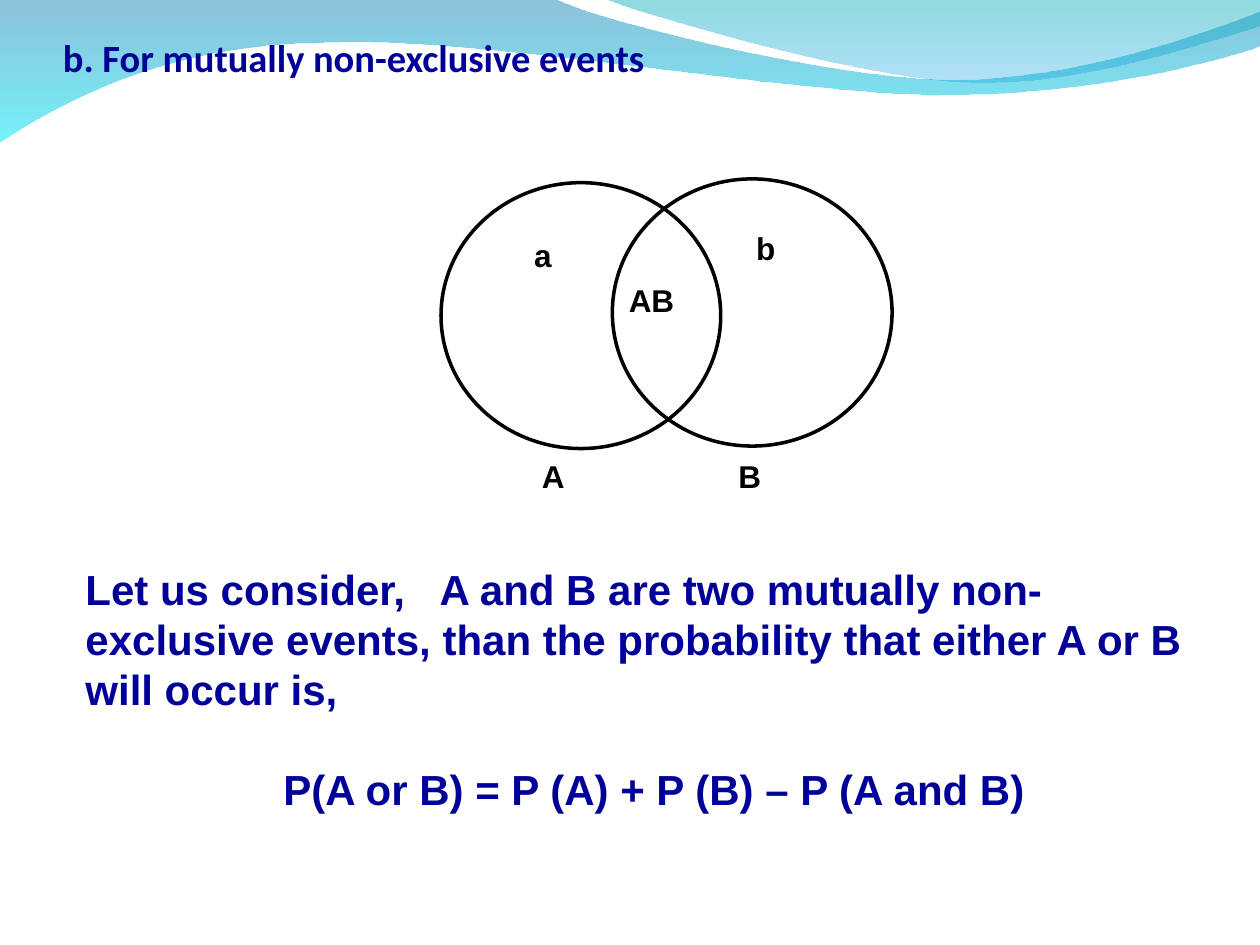
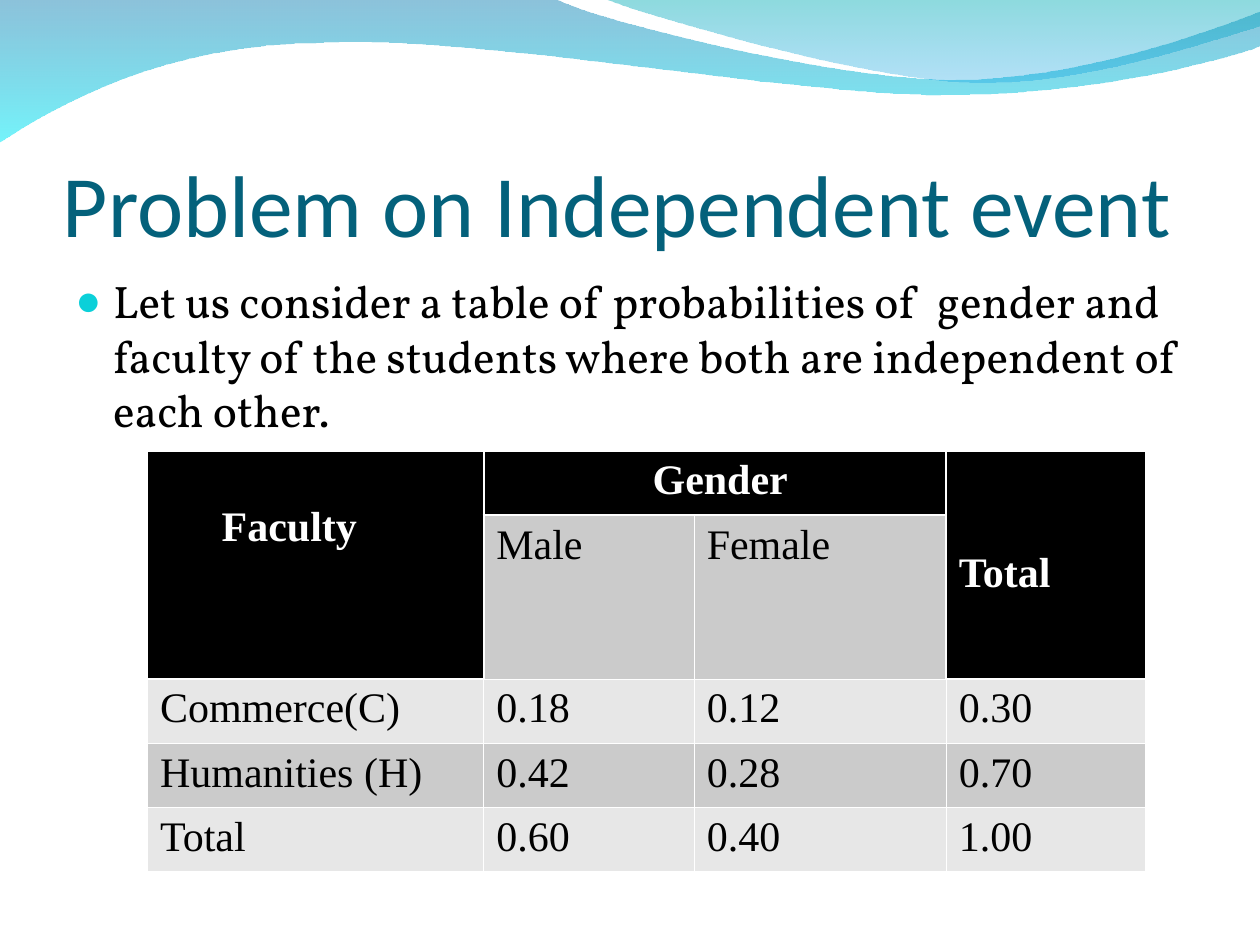
from dataclasses import dataclass

from lxml.etree import SubElement
from pptx import Presentation
from pptx.dml.color import RGBColor
from pptx.enum.shapes import MSO_SHAPE as Shape
from pptx.enum.text import MSO_ANCHOR as Anchor
from pptx.oxml.ns import qn
from pptx.util import Inches, Pt

COLS, ROWS = 10, 7.5
W, H = Inches(10), Inches(7.5)


@dataclass(frozen=True)
class Theme:
    navy: str = "000099"
    teal: str = "04617B"
    bullet: str = "0BD0D9"
    ink: str = "000000"
    paper: str = "FFFFFF"
    bands: tuple = ("E7E7E7", "CBCBCB")
    sans: str = "Arial"
    head: str = "Calibri"
    body: str = "Vollkorn"
    cell: str = "Times New Roman"
    small_title: float = 22
    big_title: float = 50
    label: float = 18
    text: float = 24
    lead: float = 26
    outline: float = 2
    thin: float = 0.45
    thick: float = 1.47


@dataclass(frozen=True)
class Box:
    x: float
    y: float
    w: float
    h: float

    def inner(self, dx, dy, w, h):
        return Box(self.x + dx, self.y + dy, w, h)

    def emu(self):
        return col(self.x), row(self.y), col(self.w), row(self.h)


T = Theme()
SLIDE = Box(0, 0, COLS, ROWS)

WAVES = [
    ((0, -0.01),
     [[(4.4, -0.01)],
      [(4.76, 0.17), (6.64, 0.63), (7.58, 0.63)],
      [(8.53, 0.63), (9.58, 0.26), (10, 0.09)],
      [(10.01, 0.36)],
      [(9.83, 0.44), (8.7, 0.76), (7.46, 0.75)],
      [(6.22, 0.75), (3.82, 0.28), (2.57, 0.34)],
      [(1.29, 0.35), (0.46, 0.83), (-0.01, 1.13)]],
     [("0079AF", 45), ("00EBF8", 55)]),
    ((4.79, -0.01),
     [[(5.09, 0.11), (6.82, 0.62), (7.69, 0.65)],
      [(8.56, 0.69), (9.61, 0.32), (10, 0.21)],
      [(10, 0)]],
     [("00ADB6", 45), ("009BE5", 30)]),
]

VENN_CIRCLES = [(0, 0.03, 2.11), (1.36, 0, 2.12)]
VENN_LABELS = [("a", 0.74, 0.45, 0.4), ("AB", 1.49, 0.81, 0.71),
               ("b", 2.5, 0.4, 0.41), ("A", 0.8, 2.21, 0.71),
               ("B", 2.36, 2.21, 0.71)]

HEAD_CELLS = {(0, 0), (1, 0), (0, 1), (0, 2), (0, 3), (1, 3)}
HEAD_MARGINS = {(0, 0): (0.59, 0.42), (0, 1): (1.34, 0.05), (0, 3): (0.1, 0.79)}
COL_WIDTHS = [2.67, 1.67, 2, 1.58]
ROW_HEIGHTS = [0.51, 1.3, 0.51, 0.51, 0.51]
FACULTY_ROWS = [
    ["Faculty", "Gender", "", "Total"],
    ["", "Male", "Female", ""],
    ["Commerce(C)", "0.18", "0.12", "0.30"],
    ["Humanities (H)", "0.42", "0.28", "0.70"],
    ["Total", "0.60", "0.40", "1.00"],
]


def col(n):
    return round(W * n / COLS)


def row(n):
    return round(H * n / ROWS)


def rgb(color):
    return RGBColor.from_string(color)


def write(p, text, size=T.text, font=T.sans, color=T.ink, bold=False):
    r = p.add_run()
    r.text = text
    f = r.font
    f.size, f.name, f.bold = Pt(size), font, bold
    f.color.rgb = rgb(color)


def text_box(s, box, text, inset=(0, 0), anchor=Anchor.TOP, **fmt):
    tf = s.shapes.add_textbox(*box.emu()).text_frame
    tf.word_wrap = True
    tf.vertical_anchor = anchor
    tf.margin_left = tf.margin_right = col(inset[0])
    tf.margin_top = tf.margin_bottom = row(inset[1])
    write(tf.paragraphs[0], text, **fmt)
    return tf


def bend(sp, segments):
    lines = iter(list(sp._element.spPr.iter(qn("a:lnTo"))))
    for seg in segments:
        parts = [next(lines) for _ in seg]
        if len(parts) == 3:
            curve = parts[0].makeelement(qn("a:cubicBezTo"))
            parts[0].addprevious(curve)
            for part in parts:
                curve.append(part[0])
                part.getparent().remove(part)


def wave(s, box, start, segments, stops):
    points = [start] + [pt for seg in segments for pt in seg]
    outline = [(col(box.x + x), row(box.y + y)) for x, y in points]
    builder = s.shapes.build_freeform(*outline[0])
    builder.add_line_segments(outline[1:], close=True)
    sp = builder.convert_to_shape()
    bend(sp, segments)
    sp.shadow.inherit = False
    sp.line.fill.background()
    sp.fill.gradient()
    sp.fill.gradient_angle = 270
    for i, (stop, (color, _)) in enumerate(zip(sp.fill.gradient_stops, stops)):
        stop.position = i
        stop.color.rgb = rgb(color)
    for clr, (_, alpha) in zip(sp._element.spPr.iter(qn("a:srgbClr")), stops):
        SubElement(clr, qn("a:alpha"), val=str(alpha * 1000))


def new_slide(prs):
    s = prs.slides.add_slide(prs.slide_layouts[6])
    for start, segments, stops in WAVES:
        wave(s, SLIDE, start, segments, stops)
    return s


def title(s, box, text, **fmt):
    text_box(s, box, text, anchor=Anchor.BOTTOM, font=T.head, **fmt)


def venn(s, box):
    for dx, dy, h in VENN_CIRCLES:
        sp = s.shapes.add_shape(Shape.OVAL, *box.inner(dx, dy, 2.22, h).emu())
        sp.shadow.inherit = False
        sp.fill.background()
        sp.line.color.rgb = rgb(T.ink)
        sp.line.width = Pt(T.outline)
    for text, dx, dy, w in VENN_LABELS:
        text_box(s, box.inner(dx, dy, w, 0.3), text, size=T.label, bold=True)


def addition_rule(s, box):
    fmt = dict(color=T.navy, bold=True)
    tf = text_box(s, box, "Let us consider,\tA and B are two mutually non-exclusive "
                  "events, than the probability that either A or B will occur is,",
                  inset=(0.1, 0.05), **fmt)
    tabs = SubElement(tf.paragraphs[0]._p.get_or_add_pPr(), qn("a:tabLst"))
    SubElement(tabs, qn("a:tab"), pos=str(col(2.81)), algn="l")
    p = tf.add_paragraph()
    p._p.get_or_add_pPr().set("marL", str(col(1.57)))
    p.space_before = Pt(28)
    write(p, "P(A or B) = P (A) + P (B) – P (A and B)", **fmt)


def bullet_text(s, box, text):
    tf = text_box(s, box, text, inset=(0.1, 0.05), size=T.lead, font=T.body)
    pPr = tf.paragraphs[0]._p.get_or_add_pPr()
    pPr.set("marL", str(col(0.3)))
    pPr.set("indent", str(-col(0.3)))
    SubElement(SubElement(pPr, qn("a:buClr")), qn("a:srgbClr"), val=T.bullet)
    SubElement(pPr, qn("a:buSzPct"), val="95000")
    SubElement(pPr, qn("a:buFont"), typeface=T.sans)
    SubElement(pPr, qn("a:buChar"), char="●")


def borders(cell, i, j):
    tcPr = cell._tc.get_or_add_tcPr()
    for side, di, dj in (("L", 0, -1), ("R", 0, 1), ("T", -1, 0), ("B", 1, 0)):
        ni, nj = i + di, j + dj
        inside = 0 <= ni < len(ROW_HEIGHTS) and 0 <= nj < len(COL_WIDTHS)
        heavy = inside and HEAD_CELLS & {(i, j), (ni, nj)}
        ln = SubElement(tcPr, qn(f"a:ln{side}"),
                        w=str(Pt(T.thick if heavy else T.thin)))
        SubElement(SubElement(ln, qn("a:solidFill")), qn("a:srgbClr"), val=T.paper)


def faculty_table(s, box):
    tbl = s.shapes.add_table(len(ROW_HEIGHTS), len(COL_WIDTHS), *box.emu()).table
    tbl.first_row = tbl.horz_banding = False
    for column, width in zip(tbl.columns, COL_WIDTHS):
        column.width = col(width)
    for line, height in zip(tbl.rows, ROW_HEIGHTS):
        line.height = row(height)
    for first, last in (((0, 0), (1, 0)), ((0, 1), (0, 2)), ((0, 3), (1, 3))):
        tbl.cell(*first).merge(tbl.cell(*last))
    for i, texts in enumerate(FACULTY_ROWS):
        for j, text in enumerate(texts):
            cell, head = tbl.cell(i, j), (i, j) in HEAD_CELLS
            left, top = HEAD_MARGINS.get((i, j), (0.1, 0.05))
            cell.margin_left, cell.margin_top = col(left), row(top)
            borders(cell, i, j)
            cell.fill.solid()
            cell.fill.fore_color.rgb = rgb(T.ink if head else T.bands[i % 2])
            if text:
                write(cell.text_frame.paragraphs[0], text, font=T.cell, bold=head,
                      color=T.paper if head else T.ink)


def non_exclusive_slide(prs):
    s = new_slide(prs)
    title(s, SLIDE.inner(0.5, 0.14, 9, 0.5), "b. For mutually non-exclusive events",
          size=T.small_title, color=T.navy, bold=True)
    venn(s, SLIDE.inner(3.5, 1.42, 3.58, 2.51))
    addition_rule(s, SLIDE.inner(0.58, 4.42, 9.08, 2.1))


def independent_slide(prs):
    s = new_slide(prs)
    title(s, SLIDE.inner(0.5, 0.77, 9, 1.25), "Problem on Independent event",
          size=T.big_title, color=T.teal)
    bullet_text(s, SLIDE.inner(0.5, 2.12, 9, 4.8),
                "Let us consider a table of probabilities of  gender and faculty of "
                "the students where both are independent of each other.")
    faculty_table(s, SLIDE.inner(1.17, 3.58, sum(COL_WIDTHS), sum(ROW_HEIGHTS)))


def main():
    prs = Presentation()
    prs.slide_width, prs.slide_height = W, H
    non_exclusive_slide(prs)
    independent_slide(prs)
    prs.save("out.pptx")


if __name__ == "__main__":
    main()
